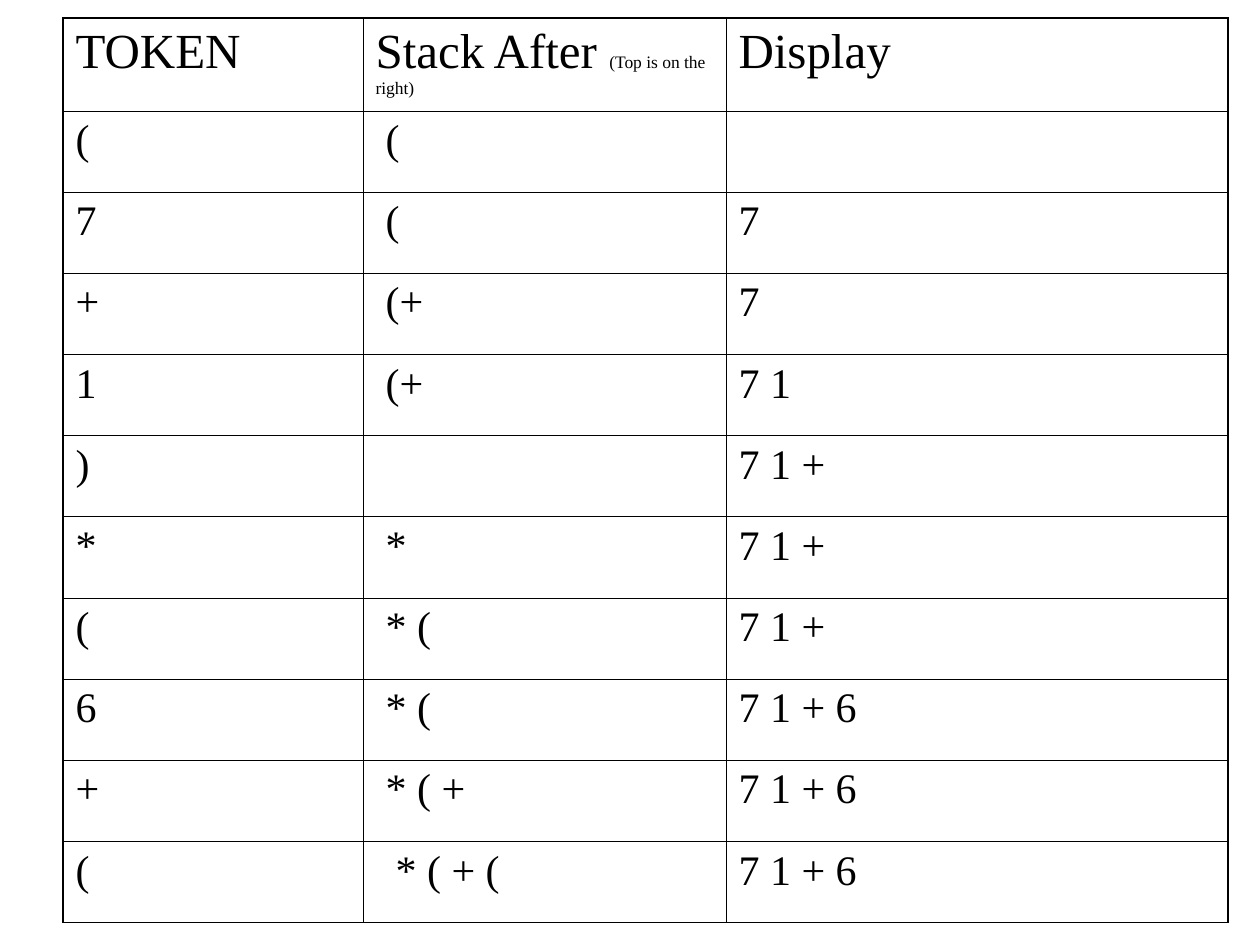
from dataclasses import dataclass

from lxml import etree
from pptx import Presentation
from pptx.dml.color import RGBColor
from pptx.oxml.ns import qn
from pptx.util import Emu, Pt

PX = 914400 // 126
FONT = "Times New Roman"
COLORS = {"ink": "000000"}
THICK, THIN = Pt(1.08), Pt(0.45)
LEFT, TOP = 63, 18
COL_WIDTHS = [300, 363, 502]
HEADER_HEIGHT, BODY_HEIGHT = 93, 812
SPACE_INDENT = 10


@dataclass
class Step:
    token: str
    stack: str
    display: str
    stack_indent: int = SPACE_INDENT


@dataclass
class Heading:
    text: str
    note: str = ""
    space_before: float = 7


HEADINGS = [
    Heading("TOKEN"),
    Heading("Stack After ", "(Top is on the right)", 2.5),
    Heading("Display"),
]
STEPS = [
    Step("(", "(", ""),
    Step("7", "(", "7"),
    Step("+", "(+", "7"),
    Step("1", "(+", "7 1"),
    Step(")", "", "7 1 +"),
    Step("*", "*", "7 1 +"),
    Step("(", "* (", "7 1 +"),
    Step("6", "* (", "7 1 + 6"),
    Step("+", "* ( +", "7 1 + 6"),
    Step("(", "* ( + (", "7 1 + 6", 2 * SPACE_INDENT),
]


def px(n: int) -> Emu:
    return Emu(n * PX)


def add_border(cell, side: str, width: int) -> None:
    ln = etree.SubElement(cell._tc.get_or_add_tcPr(), qn(f"a:ln{side}"), w=str(width))
    fill = etree.SubElement(ln, qn("a:solidFill"))
    etree.SubElement(fill, qn("a:srgbClr"), val=COLORS["ink"])


def style_cell(cell, row: int, col: int) -> None:
    outer = {
        "L": col == 0,
        "R": col == len(COL_WIDTHS) - 1,
        "T": row == 0,
        "B": row == len(STEPS),
    }
    for side, is_outer in outer.items():
        add_border(cell, side, THICK if is_outer else THIN)
    cell.fill.background()


def add_run(p, text: str, size: int) -> None:
    r = p.add_run()
    r.text = text
    r.font.size = Pt(size)
    r.font.name = FONT
    r.font.color.rgb = RGBColor.from_string(COLORS["ink"])


def fill_heading(cell, heading: Heading) -> None:
    p = cell.text_frame.paragraphs[0]
    p.space_before = Pt(heading.space_before)
    add_run(p, heading.text, 28)
    if heading.note:
        add_run(p, heading.note, 10)


def fill_value(cell, text: str, indent: int = 0) -> None:
    if not text:
        return
    p = cell.text_frame.paragraphs[0]
    p.space_before = Pt(6)
    if indent:
        pPr = p._p.get_or_add_pPr()
        pPr.set("marL", str(px(indent)))
        pPr.set("indent", "0")
    add_run(p, text, 24)


def main() -> None:
    prs = Presentation()
    prs.slide_width, prs.slide_height = px(1260), px(945)
    s = prs.slides.add_slide(prs.slide_layouts[6])
    table = s.shapes.add_table(
        len(STEPS) + 1, len(COL_WIDTHS), px(LEFT), px(TOP),
        px(sum(COL_WIDTHS)), px(HEADER_HEIGHT + BODY_HEIGHT),
    ).table
    table.first_row = table.horz_banding = False

    for column, width in zip(table.columns, COL_WIDTHS):
        column.width = px(width)
    for i, row in enumerate(table.rows):
        row.height = px(BODY_HEIGHT) // len(STEPS) if i else px(HEADER_HEIGHT)
        for j, cell in enumerate(row.cells):
            style_cell(cell, i, j)

    for j, heading in enumerate(HEADINGS):
        fill_heading(table.cell(0, j), heading)
    for i, step in enumerate(STEPS, start=1):
        fill_value(table.cell(i, 0), step.token)
        fill_value(table.cell(i, 1), step.stack, step.stack_indent)
        fill_value(table.cell(i, 2), step.display)

    prs.save("out.pptx")


if __name__ == "__main__":
    main()
